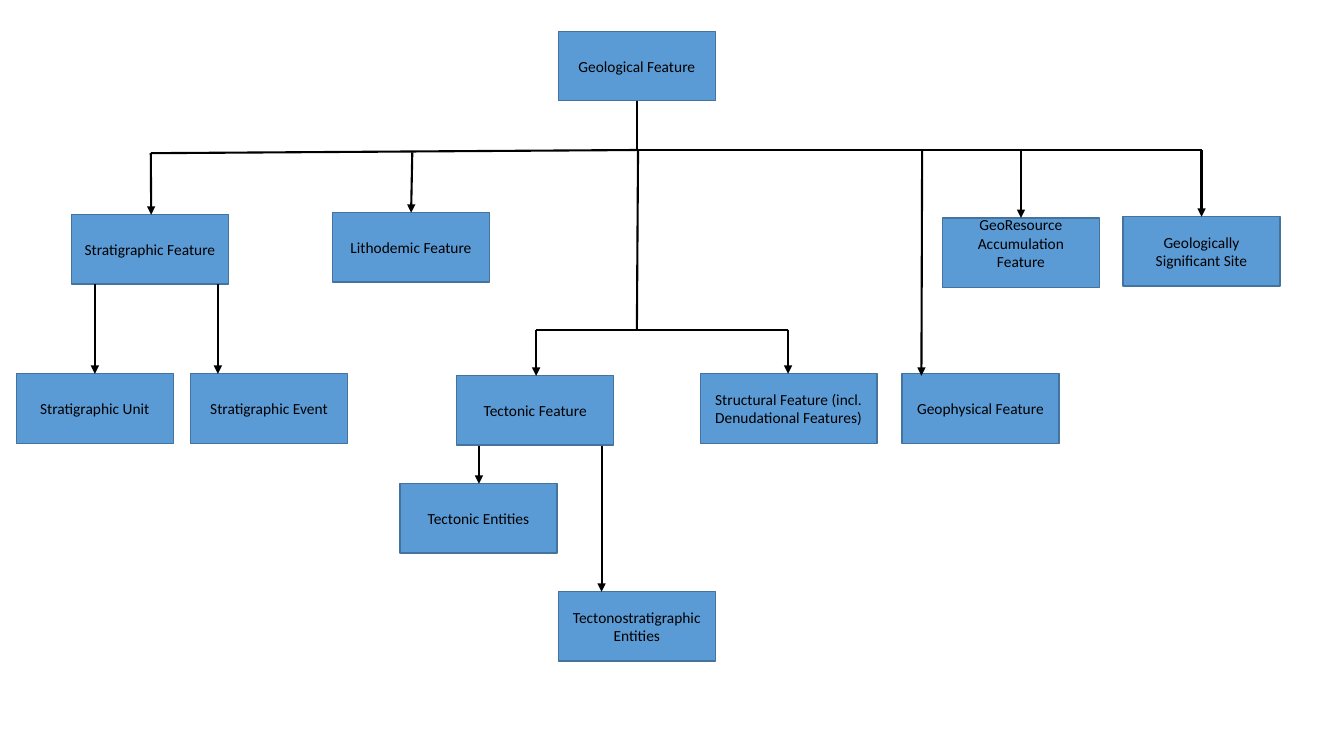
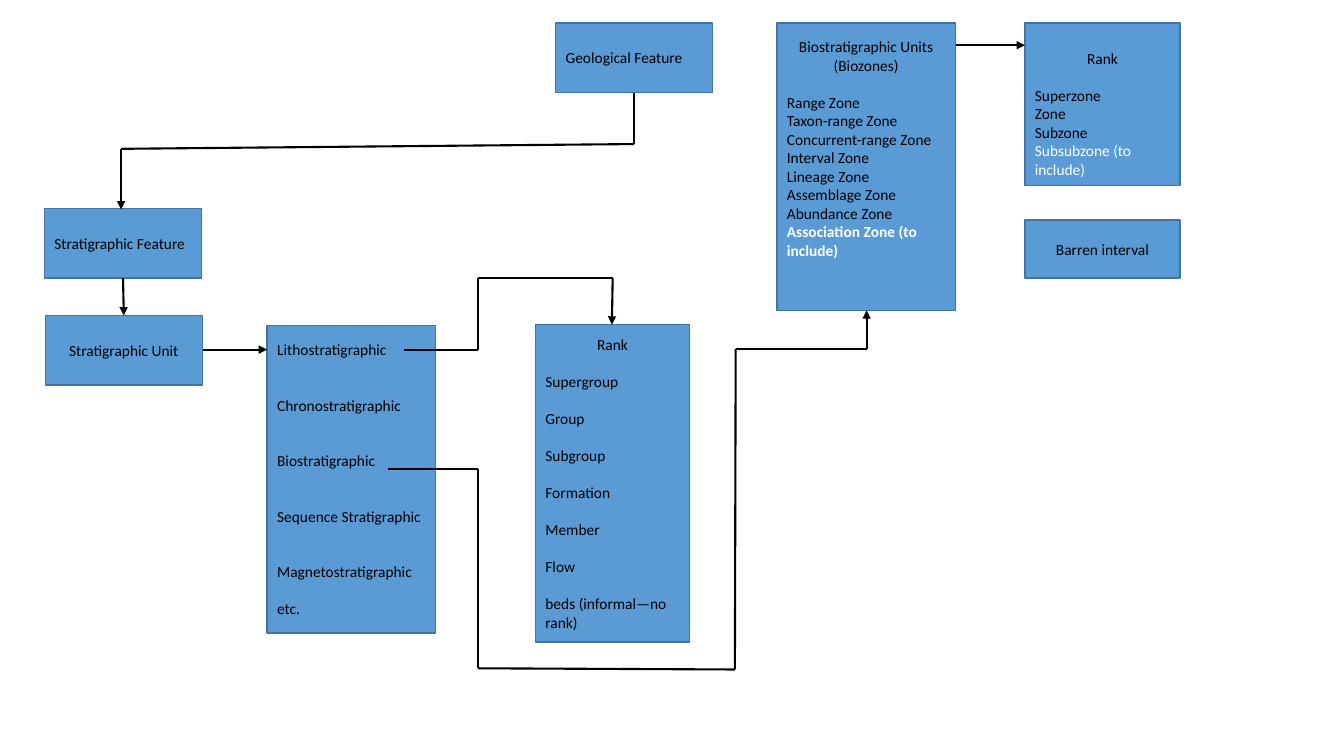
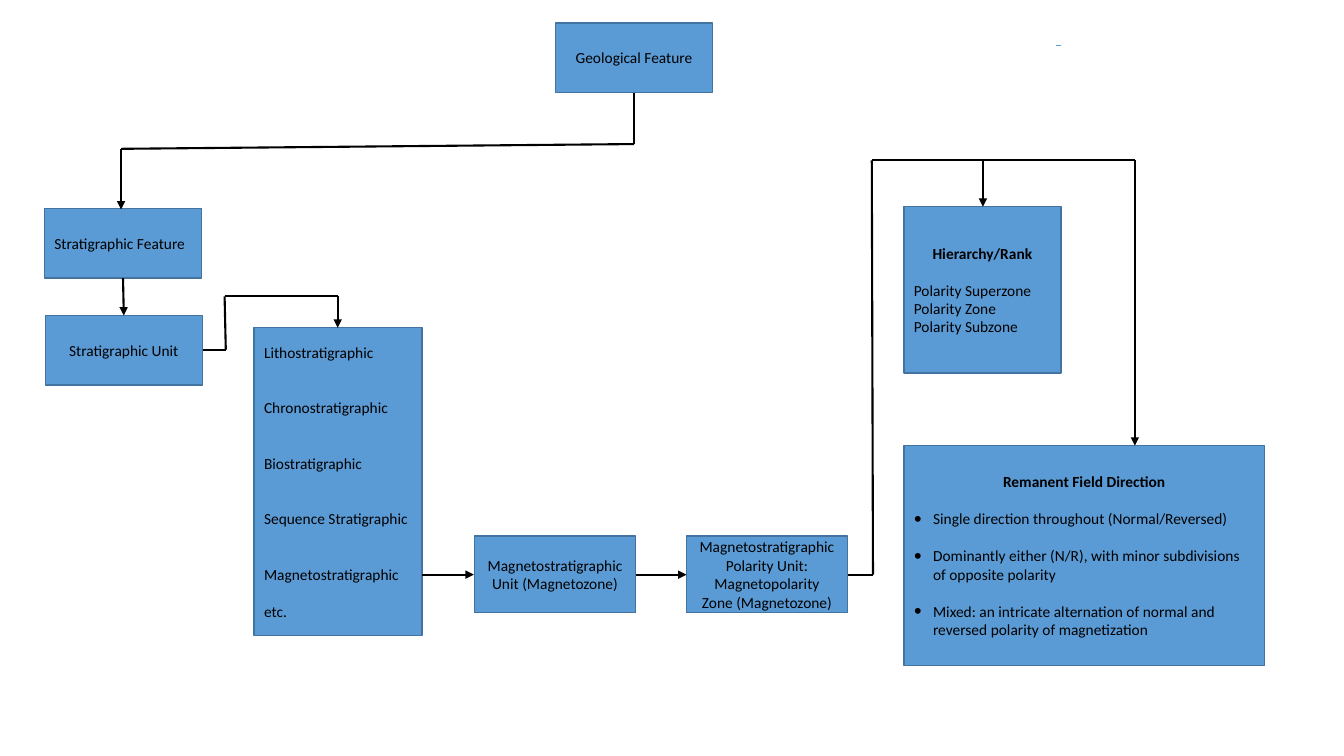
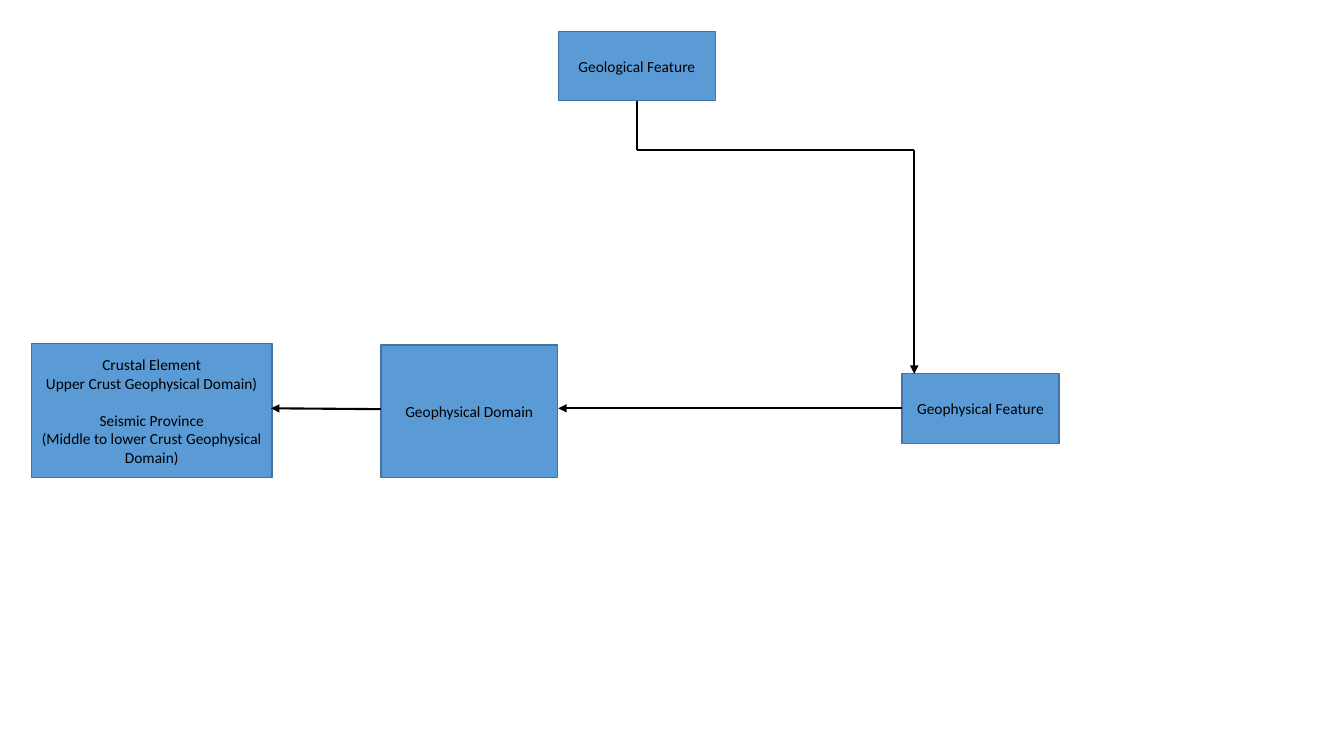
import dataclasses
import itertools
import typing

import pptx
import pptx.dml.color
import pptx.enum.shapes
import pptx.enum.text
import pptx.oxml.ns
import pptx.util
from lxml import etree

HUES = {"box": "5B9BD5", "edge": "43739E", "ink": "000000", "pale": "FFFFFF"}
FONT, SIZE, ROW = "Calibri", 11, 13.2
WIDE, HIGH = 3.96, 1.75
INSET, DENT = 0.13, 0.48
TITLE_ONLY, TWO_PARTS = 5, 3
LEFT = pptx.enum.text.PP_ALIGN.LEFT
MID = pptx.enum.text.PP_ALIGN.CENTER
Cm = pptx.util.Cm
Point = tuple[float, float]


@dataclasses.dataclass
class Line:
    text: str
    align: int = LEFT
    gap: int = 0  # empty rows above
    bold: bool = False
    hue: str = "ink"
    dot: bool = False


@dataclasses.dataclass
class Box:
    x: float
    y: float
    text: typing.Union[str, list[Line]]
    w: float = WIDE
    h: float = HIGH
    top: float = INSET
    base: float = INSET
    slot: typing.Optional[int] = None  # placeholder index


@dataclasses.dataclass
class Route:
    points: list[Point]
    arrow: bool = True
    hue: str = "ink"
    width: float = 1.5


# Drawing
def color(name: str) -> pptx.dml.color.RGBColor:
    return pptx.dml.color.RGBColor.from_string(HUES[name])


def add(parent: typing.Any, tag: str, **attrs: str) -> typing.Any:
    return etree.SubElement(parent, pptx.oxml.ns.qn(tag), **attrs)


def write(para: typing.Any, text: str, *, align: int = LEFT, gap: int = 0,
          bold: bool = False, hue: str = "ink", dot: bool = False) -> None:
    para.text = text
    para.alignment = align
    para.space_before = pptx.util.Pt(ROW * gap)
    para.space_after = pptx.util.Pt(0)
    for run in para.runs:
        font = run.font
        font.name, font.size, font.bold = FONT, pptx.util.Pt(SIZE), bold
        font.color.rgb = color(hue)
    props = para._p.get_or_add_pPr()
    dent = Cm(DENT) if dot else 0
    props.set("marL", str(dent))
    props.set("indent", str(-dent))
    if dot:
        add(props, "a:buSzPct", val="140000")
        add(props, "a:buFont", typeface="Arial")
        add(props, "a:buChar", char="•")
    else:
        add(props, "a:buNone")


def draw_box(slide: typing.Any, box: Box) -> None:
    area = [Cm(n) for n in (box.x, box.y, box.w, box.h)]
    if box.slot is None:
        kind = pptx.enum.shapes.MSO_SHAPE.RECTANGLE
        shape = slide.shapes.add_shape(kind, *area)
    else:
        shape = slide.placeholders[box.slot]
        shape.left, shape.top, shape.width, shape.height = area
    shape.shadow.inherit = False
    shape.fill.solid()
    shape.fill.fore_color.rgb = color("box")
    shape.line.color.rgb = color("edge")
    shape.line.width = pptx.util.Pt(1)
    frame = shape.text_frame
    frame.word_wrap = True
    frame.auto_size = pptx.enum.text.MSO_AUTO_SIZE.NONE
    frame.vertical_anchor = pptx.enum.text.MSO_ANCHOR.MIDDLE
    frame.margin_top, frame.margin_bottom = Cm(box.top), Cm(box.base)
    lines = [Line(box.text, MID)] if isinstance(box.text, str) else box.text
    for num, line in enumerate(lines):
        para = frame.add_paragraph() if num else frame.paragraphs[0]
        write(para, **dataclasses.asdict(line))


def draw_route(slide: typing.Any, route: Route) -> None:
    for start, end in itertools.pairwise(route.points):
        link = slide.shapes.add_connector(
            pptx.enum.shapes.MSO_CONNECTOR.STRAIGHT,
            *[Cm(n) for n in (*start, *end)])
        link.line.color.rgb = color(route.hue)
        link.line.width = pptx.util.Pt(route.width)
        add(link._element.spPr, "a:effectLst")
    if route.arrow:
        add(link.line._get_or_add_ln(), "a:tailEnd", type="triangle")


def build(deck: typing.Any, layout: int, boxes: list[Box],
          routes: list[Route]) -> None:
    slide = deck.slides.add_slide(deck.slide_layouts[layout])
    for box in boxes:
        draw_box(slide, box)
    for route in routes:
        draw_route(slide, route)


# Parts that several slides share
def root(x: float, y: float, align: int = MID) -> Box:
    return Box(x, y, [Line("Geological Feature", align)], slot=0)


def strata(x: float, y: float) -> Box:
    names = ["Lithostratigraphic", "Chronostratigraphic", "Biostratigraphic",
             "Sequence Stratigraphic", "Magnetostratigraphic"]
    lines = [Line(name, gap=2 if num else 0) for num, name in enumerate(names)]
    return Box(x, y, lines + [Line("etc.", gap=1)], 4.24, 7.75, slot=1)


GEOPHYS = Box(22.73, 9.42, "Geophysical Feature")
STEM_BOXES = [Box(1.12, 5.26, [Line("Stratigraphic Feature")]),
              Box(1.14, 7.95, "Stratigraphic Unit")]
STEM_ROUTES = [
    Route([(15.98, 2.34), (15.98, 3.63), (3.05, 3.75), (3.05, 5.28)]),
    Route([(3.1, 7.01), (3.12, 7.95)]),
]

deck = pptx.Presentation()
deck.slide_width, deck.slide_height = Cm(33.87), Cm(19.05)

# Slide 1: feature types
build(deck, TITLE_ONLY, [
    root(14.07, 0.79),
    Box(1.8, 5.41, "Stratigraphic Feature"),
    Box(8.38, 5.36, "Lithodemic Feature"),
    Box(11.51, 9.47, "Tectonic Feature"),
    Box(17.65, 9.42, "Structural Feature (incl. Denudational Features)", 4.45),
    Box(10.08, 12.19, "Tectonic Entities"),
    Box(14.07, 14.91, "Tectonostratigraphic Entities"),
    Box(23.75, 5.49, "GeoResource Accumulation Feature", base=0.6),
    Box(28.3, 5.46, "Geologically Significant Site"),
    Box(0.41, 9.42, "Stratigraphic Unit"),
    Box(4.8, 9.42, "Stratigraphic Event"),
    GEOPHYS,
], [
    Route([(16.05, 2.54), (16.05, 3.78)], arrow=False),
    Route([(16.03, 3.78), (30.28, 3.78), (30.28, 5.46)]),
    Route([(16.03, 3.78), (3.8, 3.86), (3.81, 5.41)]),
    Route([(16.08, 3.81), (16.05, 8.31)], arrow=False),
    Route([(16.05, 8.31), (19.86, 8.31), (19.86, 9.42)]),
    Route([(16.05, 8.31), (13.51, 8.31), (13.51, 9.47)]),
    Route([(10.39, 3.84), (10.36, 5.36)]),
    Route([(23.24, 3.76), (23.22, 9.47)]),
    Route([(25.73, 3.78), (25.73, 5.49)]),
    Route([(2.39, 7.16), (2.39, 9.42)]),
    Route([(5.49, 7.16), (5.49, 9.42)]),
    Route([(12.07, 11.23), (12.07, 12.19)]),
    Route([(15.16, 11.23), (15.16, 14.91)]),
])

# Slide 2: lithostratigraphic and biostratigraphic units
ranks = ["Supergroup", "Group", "Subgroup", "Formation", "Member", "Flow",
         "beds (informal—no rank)"]
zones = ["Taxon-range Zone", "Concurrent-range Zone", "Interval Zone",
         "Lineage Zone", "Assemblage Zone", "Abundance Zone"]
build(deck, TWO_PARTS, [
    root(14, 0.58, LEFT),
    *STEM_BOXES,
    strata(6.73, 8.2),
    Box(13.49, 8.18,
        [Line("Rank", MID)] + [Line(rank, gap=1) for rank in ranks],
        3.89, 8, slot=2),
    Box(19.58, 0.58, [
        Line("Biostratigraphic Units (Biozones)", MID),
        Line("Range Zone", gap=1),
        *[Line(zone) for zone in zones],
        Line("Association Zone (to include)", bold=True, hue="pale"),
    ], 4.5, 7.24, base=1.06),
    Box(25.83, 0.58, [
        Line("Rank", MID), Line("Superzone", gap=1), Line("Zone"),
        Line("Subzone"), Line("Subsubzone (to include)", hue="pale"),
    ], 3.91, 4.09, top=0.6),
    Box(25.83, 5.54, "Barren interval", 3.91, 1.47),
], STEM_ROUTES + [
    Route([(10.19, 8.81), (12.04, 8.81), (12.04, 7.01), (15.44, 7.01),
           (15.42, 8.18)]),
    Route([(9.78, 11.81), (12.04, 11.81), (12.04, 16.84), (18.52, 16.87),
           (18.54, 8.79), (21.84, 8.79), (21.84, 7.82)]),
    Route([(5.11, 8.81), (6.73, 8.81)]),
    Route([(24.08, 1.14), (25.83, 1.14)]),
])

# Slide 3: magnetostratigraphic units
fields = ["Single direction throughout (Normal/Reversed)",
          "Dominantly either (N/R), with minor subdivisions of opposite "
          "polarity",
          "Mixed: an intricate alternation of normal and reversed polarity "
          "of magnetization"]
build(deck, TWO_PARTS, [
    root(14, 0.58),
    *STEM_BOXES,
    strata(6.4, 8.26),
    Box(11.96, 13.51, "Magnetostratigraphic Unit (Magnetozone)", 4.06, 1.93),
    Box(17.3, 13.51, "Magnetostratigraphic Polarity Unit: "
        "Magnetopolarity\vZone (Magnetozone)", 4.06, 1.93),
    Box(22.78, 5.21, [
        Line("Hierarchy/Rank", MID, bold=True),
        Line("Polarity Superzone", gap=1),
        Line("Polarity Zone"), Line("Polarity Subzone"),
    ], h=4.19),
    Box(22.78, 11.23, [
        Line("Remanent Field Direction", MID, bold=True),
        *[Line(field, gap=1, dot=True) for field in fields],
    ], 9.09, 5.54, slot=2),
], STEM_ROUTES + [
    Route([(26.62, 1.14), (26.75, 1.14)], False, "box", 0.5),
    Route([(10.64, 14.48), (11.94, 14.48)]),
    Route([(16.03, 14.48), (17.3, 14.48)]),
    Route([(21.36, 14.48), (22, 14.48), (21.97, 4.04), (28.6, 4.04),
           (28.6, 11.23)]),
    Route([(24.77, 4.04), (24.77, 5.21)]),
    Route([(5.11, 8.81), (5.69, 8.81), (5.66, 7.47), (8.51, 7.47),
           (8.51, 8.26)]),
])

# Slide 4: geophysical domains
build(deck, TITLE_ONLY, [
    root(14.07, 0.79),
    GEOPHYS,
    Box(0.79, 8.66, [
        Line("Crustal Element", MID),
        Line("Upper Crust Geophysical Domain)", MID),
        Line("Seismic Province", MID, gap=1),
        Line("(Middle to lower Crust Geophysical Domain)", MID),
    ], 6.07, 3.38),
    Box(9.6, 8.69, "Geophysical Domain", 4.45, 3.35),
], [
    Route([(16.05, 2.54), (16.05, 3.78), (23.04, 3.78), (23.04, 9.42)]),
    Route([(22.73, 10.29), (14.07, 10.29)]),
    Route([(9.6, 10.31), (6.83, 10.29)]),
])

deck.save("out.pptx")
